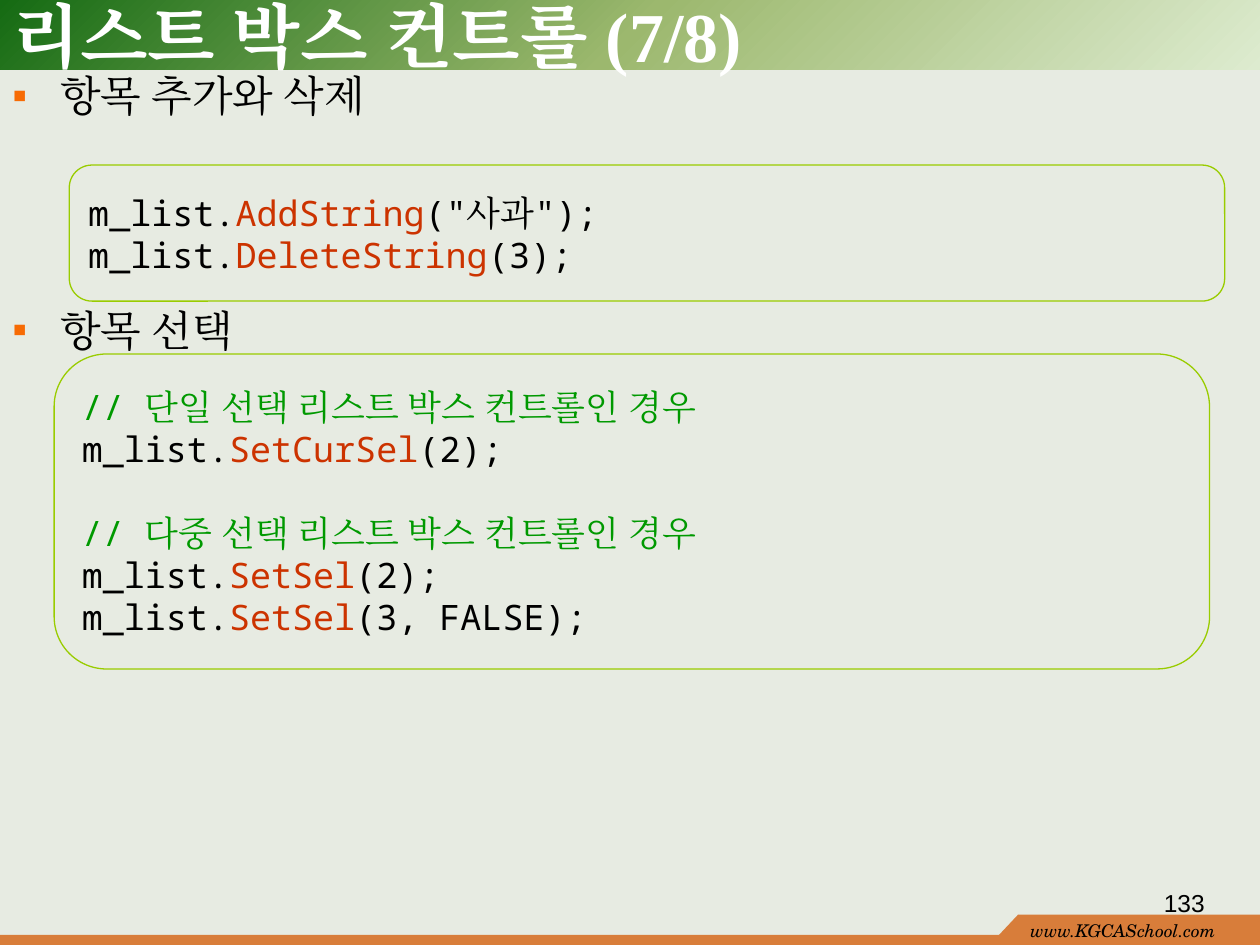
from lxml import etree
from pptx import Presentation
from pptx import util as u
from pptx.dml.color import RGBColor
from pptx.enum import shapes, text
from pptx.oxml import ns

GREEN, RED, BLACK, ORANGE = "009900", "CC3300", "000000", "D87D3A"
TITLE = {"name": "Times New Roman", "size": u.Pt(40), "bold": True, "color": "FFFFFF"}
HEADING = {"name": "Times New Roman", "size": u.Pt(24), "color": BLACK}
CODE = {"name": "Noto Sans Mono", "size": u.Pt(20), "color": BLACK}
PAGE = {"name": "Arial", "size": u.Pt(14), "color": BLACK}
SITE = {"name": "TeX Gyre Schola", "size": u.Pt(10), "italic": True, "color": BLACK}


def rgb(value):
    return RGBColor.from_string(value)


def add_element(parent, tag, **attributes):
    return etree.SubElement(parent, ns.qn(tag), attributes)


class SlideBuilder:
    east_asian_font = "Times New Roman"
    indent = u.Inches(0.38)
    outline = "99CC00"

    def __init__(self, slide, background):
        self.slide = slide
        slide.background.fill.solid()
        slide.background.fill.fore_color.rgb = rgb(background)

    def plain(self, shape, color):
        shape.shadow.inherit = False
        shape.fill.solid()
        shape.fill.fore_color.rgb = rgb(color)
        shape.line.fill.background()
        return shape

    def shape(self, kind, box):
        return self.slide.shapes.add_shape(kind, *map(u.Inches, box))

    def bar(self, box, color):
        return self.plain(self.shape(shapes.MSO_SHAPE.RECTANGLE, box), color)

    def gradient_bar(self, box, stops):
        """Radial gradient that starts in the lower right corner."""
        bar = self.bar(box, stops[0][1])
        bar.fill.gradient()
        gradient = bar._element.spPr.find(ns.qn("a:gradFill"))
        for child in list(gradient):
            gradient.remove(child)
        stop_list = add_element(gradient, "a:gsLst")
        for percent, color in stops:
            stop = add_element(stop_list, "a:gs", pos=str(percent * 1000))
            add_element(stop, "a:srgbClr", val=color)
        circle = add_element(gradient, "a:path", path="circle")
        add_element(circle, "a:fillToRect", l="100000", t="100000")

    def polygon(self, points, color):
        points = [(u.Inches(x), u.Inches(y)) for x, y in points]
        builder = self.slide.shapes.build_freeform(*points[0])
        builder.add_line_segments(points[1:], close=True)
        self.plain(builder.convert_to_shape(), color)

    def run(self, paragraph, words, style):
        run = paragraph.add_run()
        run.text = words
        for key, value in style.items():
            if key == "color":
                run.font.color.rgb = rgb(value)
            else:
                setattr(run.font, key, value)
        add_element(run._r.get_or_add_rPr(), "a:ea", typeface=self.east_asian_font)

    def hang(self, paragraph, bullet=None):
        properties = paragraph._p.get_or_add_pPr()
        properties.set("marL", str(self.indent))
        properties.set("indent", str(-self.indent))
        if bullet:
            color = add_element(properties, "a:buClr")
            add_element(color, "a:srgbClr", val="F76B04")
            add_element(properties, "a:buFont", typeface="Arial")
            add_element(properties, "a:buChar", char=bullet)

    def paragraphs(self, frame, count):
        return [frame.paragraphs[0]] + [frame.add_paragraph() for _ in range(count - 1)]

    def frame(self, box, anchor=text.MSO_ANCHOR.TOP):
        frame = self.slide.shapes.add_textbox(*map(u.Inches, box)).text_frame
        frame.word_wrap = True
        frame.vertical_anchor = anchor
        return frame

    def label(self, box, words, style, align=text.PP_ALIGN.LEFT, anchor=text.MSO_ANCHOR.TOP):
        paragraph = self.frame(box, anchor).paragraphs[0]
        paragraph.alignment = align
        self.run(paragraph, words, style)

    def headings(self, box, entries, gap):
        for index, paragraph in enumerate(self.paragraphs(self.frame(box), len(entries))):
            self.hang(paragraph, "▪")
            paragraph.line_spacing = u.Pt(29)
            paragraph.space_before = u.Pt(gap if index else 0)
            self.run(paragraph, entries[index], HEADING)

    def code_box(self, box, blocks):
        """Each block is a list of lines; blocks stand one line apart."""
        shape = self.shape(shapes.MSO_SHAPE.FLOWCHART_ALTERNATE_PROCESS, box)
        shape.shadow.inherit = False
        shape.fill.background()
        shape.line.color.rgb = rgb(self.outline)
        shape.line.width = u.Pt(0.75)
        frame = shape.text_frame
        frame.word_wrap = True
        frame.vertical_anchor = text.MSO_ANCHOR.MIDDLE
        lines = [(line, number > 0 and line is block[0])
                 for number, block in enumerate(blocks) for line in block]
        for paragraph, (line, apart) in zip(self.paragraphs(frame, len(lines)), lines):
            self.hang(paragraph)
            paragraph.alignment = text.PP_ALIGN.LEFT
            paragraph.line_spacing = u.Pt(24)
            paragraph.space_before = u.Pt(24 if apart else 0)
            for words, color in line:
                self.run(paragraph, words, {**CODE, "color": color})


def call(method, arguments):
    return [("m_list.", BLACK), (method, RED), (f"({arguments});", BLACK)]


def comment(words):
    return [(f"// {words}", GREEN)]


def main():
    presentation = Presentation()
    presentation.slide_width, presentation.slide_height = u.Inches(10), u.Inches(7.5)
    slide = presentation.slides.add_slide(presentation.slide_layouts[6])
    builder = SlideBuilder(slide, "E7EBE2")

    builder.gradient_bar((0, 0, 10, 0.55), [(0, "DDEBCF"), (50, "9CB86E"), (100, "156B13")])
    builder.bar((0, 7.42, 10, 0.08), ORANGE)
    builder.bar((8.08, 7.26, 1.92, 0.17), ORANGE)
    builder.polygon([(7.92, 7.43), (8.08, 7.43), (8.08, 7.26)], ORANGE)
    builder.label((8.08, 7.25, 1.92, 0.25), "www.KGCASchool.com", SITE)

    builder.headings((0, 0.5, 9.38, 5.94), ["항목 추가와 삭제", "항목 선택"], gap=105)
    builder.label((7.58, 7, 2.08, 0.33), "133", PAGE, align=text.PP_ALIGN.RIGHT)
    builder.label((0, 0.03, 9.38, 0.48), "리스트 박스 컨트롤 (7/8)", TITLE,
                  anchor=text.MSO_ANCHOR.MIDDLE)

    builder.code_box((0.55, 1.31, 9.17, 1.08), [
        [call("AddString", '"사과"'), call("DeleteString", "3")],
    ])
    builder.code_box((0.43, 2.81, 9.17, 2.5), [
        [comment("단일 선택 리스트 박스 컨트롤인 경우"), call("SetCurSel", "2")],
        [comment("다중 선택 리스트 박스 컨트롤인 경우"), call("SetSel", "2"),
         call("SetSel", "3, FALSE")],
    ])
    presentation.save("out.pptx")


if __name__ == "__main__":
    main()
